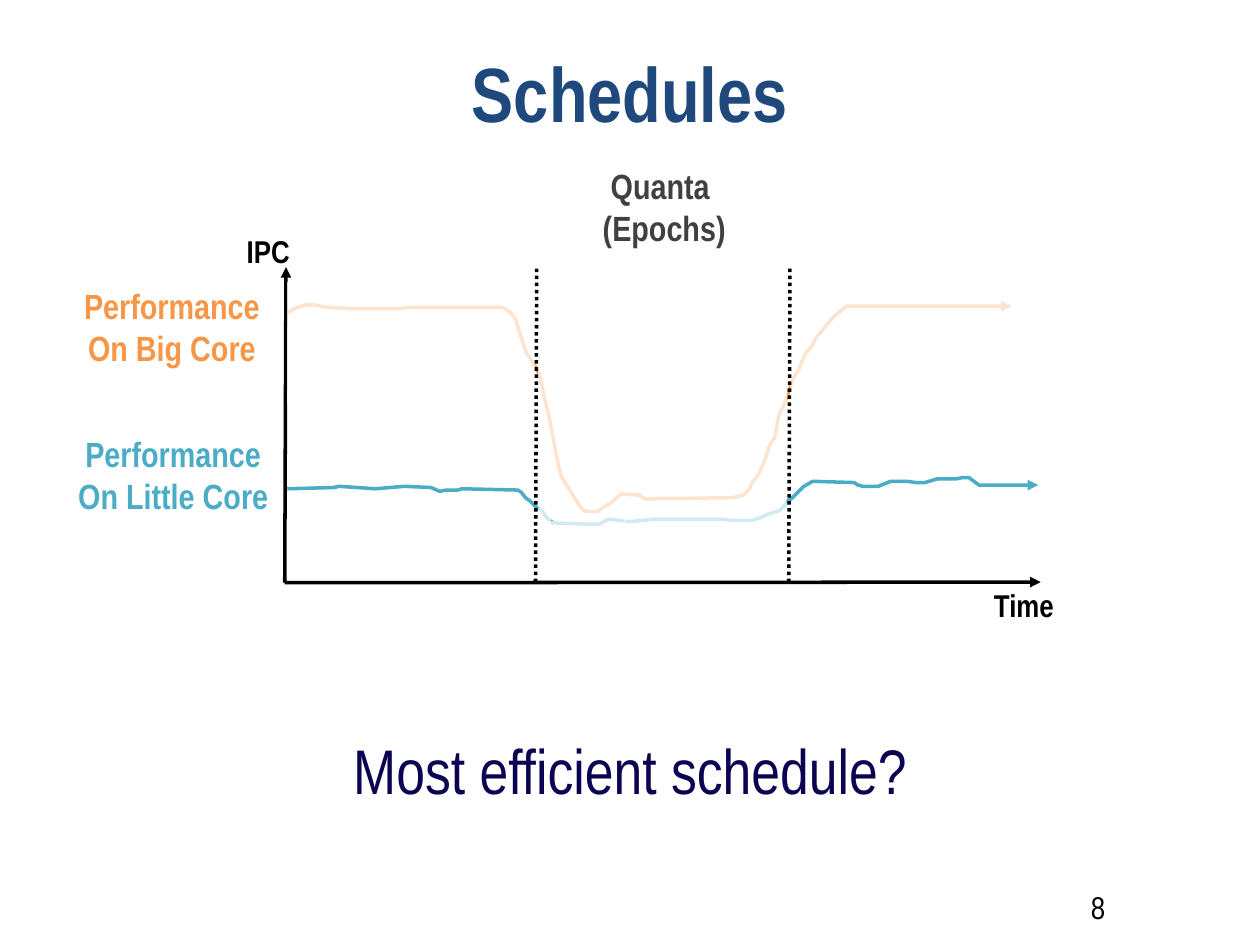
import dataclasses

import lxml.etree
import pptx
import pptx.dml.color
import pptx.enum.dml
import pptx.enum.shapes
import pptx.enum.text
import pptx.oxml.ns
import pptx.util

CELL = pptx.util.Inches(0.1)
ALIGN = pptx.enum.text.PP_ALIGN
ANCHOR = pptx.enum.text.MSO_ANCHOR


@dataclasses.dataclass(frozen=True)
class Theme:
    """Colours, font and type sizes of the slide."""

    font: str = "Arial Narrow"
    title: str = "1F497D"
    big: str = "F79646"
    little: str = "4BACC6"
    quanta: str = "404040"
    question: str = "0B0452"
    ink: str = "000000"
    paper: str = "FFFFFF"
    title_size: int = 44
    question_size: int = 36
    label_size: int = 20
    axis_size: int = 18
    stroke: int = 2
    veil_opacity: int = 75


THEME = Theme()

BIG_TRACE = [
    (22.8, 24.8), (23.6, 24.4), (24.3, 24.2), (24.9, 24.2), (26, 24.4), (28, 24.5),
    (31.9, 24.5), (32.4, 24.4), (39.9, 24.4), (40.5, 24.8), (40.9, 25.3), (41.5, 27.2),
    (41.8, 28.1), (42.2, 28.6), (42.8, 29.7), (43.2, 31.5), (43.6, 33.2), (44, 35.3),
    (44.4, 37.3), (44.6, 37.9), (45.1, 38.7), (45.9, 40), (46.3, 40.5), (46.6, 40.6),
    (47.4, 40.6), (48, 40.2), (48.5, 39.9), (49.3, 39.2), (50.7, 39.3), (51.2, 39.6),
    (58.2, 39.5), (59, 39.3), (59.5, 38.8), (59.7, 38.3), (60.3, 37.5), (60.7, 36.5),
    (61.1, 35.3), (61.5, 34.7), (61.8, 33), (62.2, 32.2), (62.6, 31.1), (63, 30),
    (63.4, 29.3), (63.9, 28.1), (64.5, 27.4), (64.7, 26.9), (65.2, 26.3), (66.1, 25.2),
    (66.7, 24.7), (67.2, 24.3), (80.3, 24.3),
]
LITTLE_MIDDLE = [
    (42.6, 40.3), (43, 40.5), (43.4, 41.1), (43.9, 41.5), (46.9, 41.6), (47.6, 41.6),
    (48.1, 41.3), (48.3, 41.2), (50, 41.4), (51.9, 41.2), (57.3, 41.2), (58, 41.3),
    (59.7, 41.3), (60.3, 41.1), (61, 40.8), (61.9, 40.5), (62.3, 40.1), (62.6, 39.7),
]
LITTLE_START = [
    (22.8, 38.8), (26.5, 38.7), (26.9, 38.6), (29.8, 38.8), (32.1, 38.6), (34.2, 38.7),
    (34.9, 39), (35.4, 38.9), (36.3, 38.9), (36.7, 38.8), (41.1, 38.9), (41.4, 39.1),
    (41.7, 39.5), (42.1, 39.8), (42.6, 40.3),
]
LITTLE_END = [
    (62.5, 39.7), (62.8, 39.6), (63.8, 38.6), (64.5, 38.2), (67.8, 38.3), (68.1, 38.5),
    (68.5, 38.6), (69.7, 38.6), (70.2, 38.4), (70.7, 38.2), (72, 38.2), (72.7, 38.3),
    (73.4, 38.3), (74.4, 38), (75.9, 38), (76.4, 37.9), (76.9, 37.9), (77.7, 38.5),
    (82.4, 38.5),
]


def grid(*cells):
    """Convert columns or rows of the 100 by 75 grid to slide lengths."""
    return [round(cell * CELL) for cell in cells]


def rgb(code):
    """Make a colour from its hex code."""
    return pptx.dml.color.RGBColor.from_string(code)


def add_child(parent, tag, **attributes):
    """Append a drawing element to its parent."""
    return lxml.etree.SubElement(parent, pptx.oxml.ns.qn(tag), **attributes)


def write(shape, lines, size, color, bold=False, align=ALIGN.CENTER, anchor=ANCHOR.TOP):
    """Write one paragraph per line into a shape."""
    frame = shape.text_frame
    frame.word_wrap = True
    frame.vertical_anchor = anchor
    for index, line in enumerate(lines):
        paragraph = frame.add_paragraph() if index else frame.paragraphs[0]
        paragraph.alignment = align
        run = paragraph.add_run()
        run.text = line
        run.font.name = THEME.font
        run.font.size = pptx.util.Pt(size)
        run.font.bold = bold
        run.font.color.rgb = rgb(color)


def add_label(slide, area, lines, size, color, **style):
    """Add a text box on the grid."""
    write(slide.shapes.add_textbox(*grid(*area)), lines, size, color, **style)


def add_panel(slide, area, opacity=100, rotation=0):
    """Add a paper-coloured rectangle, optionally see-through."""
    panel = slide.shapes.add_shape(pptx.enum.shapes.MSO_SHAPE.RECTANGLE, *grid(*area))
    panel.shadow.inherit = False
    panel.rotation = rotation
    panel.line.fill.background()
    panel.fill.solid()
    panel.fill.fore_color.rgb = rgb(THEME.paper)
    if opacity < 100:
        color = panel.element.spPr.find(".//" + pptx.oxml.ns.qn("a:srgbClr"))
        add_child(color, "a:alpha", val=str(opacity * 1000))
    return panel


def style_line(shape, color, arrow=False, dash=None):
    """Set colour, width, dash and arrowhead of a line."""
    shape.line.color.rgb = rgb(color)
    shape.line.width = pptx.util.Pt(THEME.stroke)
    if dash:
        shape.line.dash_style = dash
    if arrow:
        outline = shape.element.spPr.find(pptx.oxml.ns.qn("a:ln"))
        add_child(outline, "a:tailEnd", type="triangle")


def add_line(slide, start, end, **style):
    """Add a straight line between two grid points."""
    straight = pptx.enum.shapes.MSO_CONNECTOR.STRAIGHT
    line = slide.shapes.add_connector(straight, *grid(*start, *end))
    style_line(line, THEME.ink, **style)
    add_child(line.element.spPr, "a:effectLst")


def add_trace(slide, points, color, arrow=False):
    """Add an open performance curve through grid points."""
    start, *rest = [grid(*point) for point in points]
    builder = slide.shapes.build_freeform(*start)
    builder.add_line_segments(rest, close=False)
    trace = builder.convert_to_shape()
    trace.shadow.inherit = False
    trace.fill.background()
    style_line(trace, color, arrow)


def add_veils(slide, veils):
    """Fade the parts of the curves that are not scheduled."""
    for area, rotation in veils:
        add_panel(slide, area, THEME.veil_opacity, rotation)


def main():
    """Build the slide and save it."""
    deck = pptx.Presentation()
    deck.slide_width, deck.slide_height = grid(100, 75)
    slide = deck.slides.add_slide(deck.slide_layouts[6])

    add_label(slide, (85.6, 70, 4.9, 4.4), ["8"], THEME.axis_size, THEME.ink, align=ALIGN.LEFT)
    add_label(slide, (5, 1, 90, 12.5), ["Schedules"], THEME.title_size, THEME.title,
              bold=True, anchor=ANCHOR.MIDDLE)

    add_trace(slide, BIG_TRACE, THEME.big, arrow=True)
    for end in ((22.7, 21.2), (82.6, 46.2)):
        add_line(slide, (22.6, 46.25), end, arrow=True)

    for area, lines, color in (
        ((4.1, 22.1, 19.1, 7.7), ["Performance", "On Big Core"], THEME.big),
        ((34.3, 12.6, 36.2, 7.7), ["Quanta", " (Epochs)"], THEME.quanta),
        ((4.2, 33.8, 19.1, 7.7), ["Performance", "On Little Core"], THEME.little),
    ):
        add_label(slide, area, lines, THEME.label_size, color, bold=True)

    add_veils(slide, [((42.7, 28.1, 19.8, 14.1), 0)])
    add_trace(slide, LITTLE_MIDDLE, THEME.little)
    add_trace(slide, LITTLE_START, THEME.little)
    add_trace(slide, LITTLE_END, THEME.little, arrow=True)
    add_veils(slide, [
        ((22.8, 22.4, 19.7, 9.7), 0),
        ((62.7, 22.7, 19.9, 9.7), 0),
        ((49.6, 40.3, 13, 2.7), 353.6),
        ((42.6, 40.3, 1.3, 1), 22.5),
        ((43.3, 41.1, 6.4, 2.7), 354.2),
    ])

    for boundary in (42.5, 62.6):
        add_line(slide, (boundary, 46.2), (boundary + 0.1, 21.2),
                 dash=pptx.enum.dml.MSO_LINE.ROUND_DOT)
    for corner, name in (((77.9, 46), "Time"), ((18.6, 17.9), "IPC")):
        add_label(slide, (*corner, 10, 4), [name], THEME.axis_size, THEME.ink,
                  bold=True, align=ALIGN.LEFT)

    write(add_panel(slide, (0, 52, 100, 18.1)), ["Most efficient schedule?"],
          THEME.question_size, THEME.question, anchor=ANCHOR.MIDDLE)
    deck.save("out.pptx")


if __name__ == "__main__":
    main()
